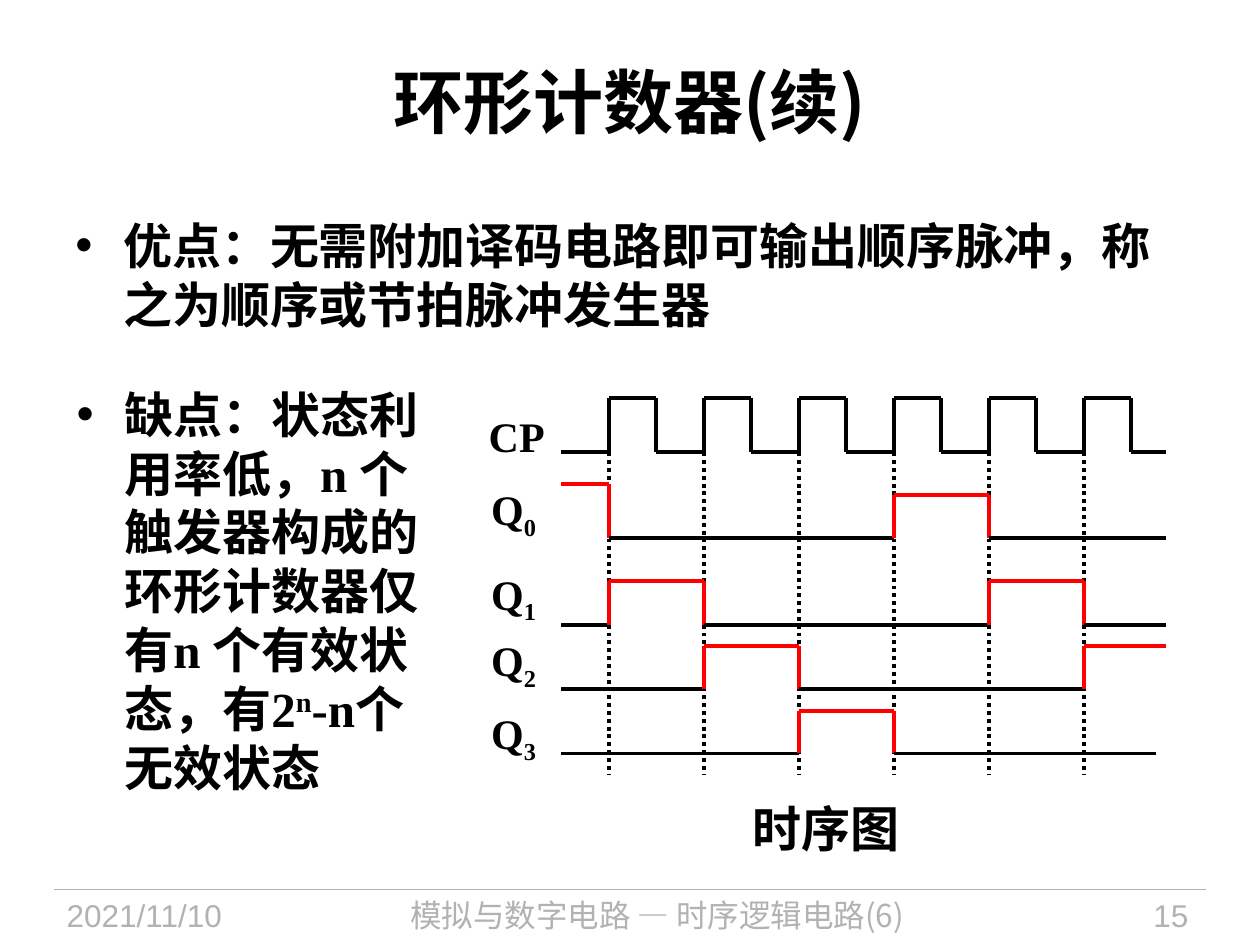
import pptx
import pptx.util
import pptx.dml.color
import pptx.enum.dml
import pptx.enum.shapes
import pptx.enum.text
import pptx.oxml.ns
import lxml.etree

Inches = pptx.util.Inches
Pt = pptx.util.Pt
RGB = pptx.dml.color.RGBColor
ALIGN = pptx.enum.text.PP_ALIGN
ANCHOR = pptx.enum.text.MSO_ANCHOR
FIT = pptx.enum.text.MSO_AUTO_SIZE
DASH = pptx.enum.dml.MSO_LINE
qn = pptx.oxml.ns.qn

BLACK = RGB(0, 0, 0)
RED = RGB(0xFF, 0, 0)
GRAY = RGB(0xB2, 0xB2, 0xB2)
TIMES, ARIAL, NOTO = "Times New Roman", "Arial", "Noto Sans CJK SC"

# Each run is (text, extra format)
TITLE = [("环形计数器", {}), ("(续)", {"font": NOTO})]
PROS = "优点：无需附加译码电路即可输出顺序脉冲，称之为顺序或节拍脉冲发生器"
CONS = [
    ("缺点：状态利用率低，n 个触发器构成的环形计数器仅有n 个有效状态，有2", {}),
    ("n", {"base": 30}),
    ("-n个无效状态", {}),
]
FOOT = [
    ("2021/11/10", (0.43, 7.06, 1.88, 0.44), ARIAL, ALIGN.LEFT),
    ("模拟与数字电路 — 时序逻辑电路(6)", (2.4, 7.06, 5.63, 0.44), NOTO, ALIGN.CENTER),
    ("15", (8.2, 7.06, 1.33, 0.44), ARIAL, ALIGN.RIGHT),
]

# Time is counted in clock periods from the first rising edge
EDGE, PERIOD, COUNT = 4.83, 0.754, 6
START, STOP = -0.5, 5.87
DOTS = (3.59, 6.15)

# Index, label box, low level, end time, pulse colour, pulses (rise, fall, high level)
WAVES = [
    ("CP", "", (3.78, 3.21, 0.65, 0.5), 3.59, STOP, BLACK,
     [(i, i + 0.5, 3.16) for i in range(COUNT)]),
    ("Q", "0", (3.8, 3.79, 0.57, 0.5), 4.27, STOP, RED,
     [(START, 0, 3.84), (3, 4, 3.93)]),
    ("Q", "1", (3.8, 4.46, 0.57, 0.5), 4.96, STOP, RED,
     [(0, 1, 4.61), (4, 5, 4.61)]),
    ("Q", "2", (3.8, 4.99, 0.57, 0.5), 5.47, STOP, RED,
     [(1, 2, 5.13), (5, STOP, 5.13)]),
    ("Q", "3", (3.8, 5.57, 0.57, 0.5), 5.98, 5.76, RED,
     [(2, 3, 5.64)]),
]

deck = pptx.Presentation()
deck.slide_width, deck.slide_height = Inches(10), Inches(7.5)
slide = deck.slides.add_slide(deck.slide_layouts[6])


def style(run, size, color, bold, font, base=0):
    """Format one run, with the East Asian font and any raised baseline."""
    face = run.font
    face.size, face.bold, face.name = Pt(size), bold, font
    face.color.rgb = color
    props = run._r.get_or_add_rPr()
    east = lxml.etree.SubElement(props, qn("a:ea"))
    east.set("typeface", NOTO)
    if base:
        props.set("baseline", str(base * 1000))


def write(text, box, size=28, color=BLACK, bold=True, font=TIMES,
          align=ALIGN.LEFT, anchor=ANCHOR.TOP, wrap=True, bullet=False):
    """Add a text box from a string or a list of runs."""
    frame = slide.shapes.add_textbox(*map(Inches, box)).text_frame
    frame.word_wrap, frame.vertical_anchor = wrap, anchor
    frame.auto_size = FIT.NONE if wrap else FIT.SHAPE_TO_FIT_TEXT
    para = frame.paragraphs[0]
    para.alignment = align
    if bullet:
        props = para._p.get_or_add_pPr()
        props.set("marL", str(Inches(0.38)))
        props.set("indent", str(-Inches(0.38)))
        lxml.etree.SubElement(props, qn("a:buFont")).set("typeface", ARIAL)
        lxml.etree.SubElement(props, qn("a:buChar")).set("char", "•")
    for part, extra in [(text, {})] if isinstance(text, str) else text:
        run = para.add_run()
        run.text = part
        style(run, **{"size": size, "color": color, "bold": bold,
                      "font": font, **extra})


def rule(a, b, color=BLACK, width=2.25, dash=None):
    """Draw a straight line from point a to point b."""
    kind = pptx.enum.shapes.MSO_CONNECTOR.STRAIGHT
    line = slide.shapes.add_connector(kind, *map(Inches, (*a, *b)))
    line.line.color.rgb, line.line.width = color, Pt(width)
    if dash:
        line.line.dash_style = dash
    lxml.etree.SubElement(line._element.spPr, qn("a:effectLst"))


def at(time):
    """Turn a time in clock periods into a horizontal place."""
    return EDGE + PERIOD * time


def trace(low, stop, color, pulses):
    """Draw a wave: black at the low level, coloured in its pulses."""
    now = START
    for rise, fall, high in pulses:
        left, right = at(rise), at(fall)
        if rise > now:
            rule((at(now), low), (left, low))
        if rise > START:
            rule((left, low), (left, high), color)
        rule((left, high), (right, high), color)
        if fall < stop:
            rule((right, high), (right, low), color)
        now = fall
    if now < stop:
        rule((at(now), low), (at(stop), low))


rule((0.43, 7.06), (9.57, 7.06), GRAY, 0.75)
for text, box, font, align in FOOT:
    write(text, box, size=18, color=GRAY, bold=False, font=font, align=align)

write(TITLE, (0.5, 0.17, 9, 1.25), size=40, align=ALIGN.CENTER, anchor=ANCHOR.MIDDLE)
write(PROS, (0.5, 1.66, 9, 1.26), bullet=True)

for i in range(COUNT):
    rule((at(i), DOTS[0]), (at(i), DOTS[1]), dash=DASH.ROUND_DOT)
for name, index, box, low, stop, color, pulses in WAVES:
    trace(low, stop, color, pulses)
    runs = [(name, {})] + ([(index, {"base": -25})] if index else [])
    write(runs, box, size=24, wrap=False)

write(CONS, (0.51, 3, 3.15, 3.98), bullet=True)
write("时序图", (5.87, 6.29, 1.37, 0.57), font=ARIAL, align=ALIGN.CENTER, wrap=False)

deck.save("out.pptx")
